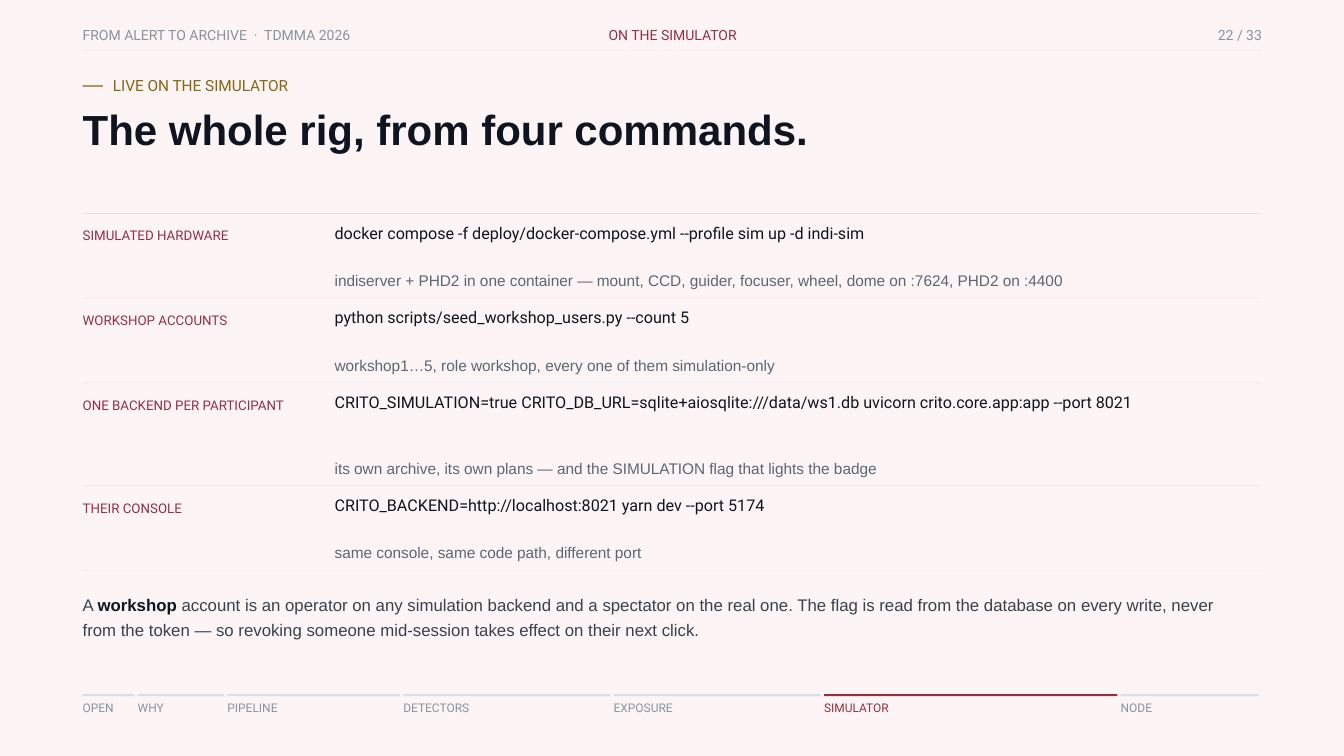
from pptx import Presentation
from pptx.dml.color import RGBColor
from pptx.enum import shapes, text
from pptx.util import Inches, Pt

LEFT, WIDTH = 1.23, 17.55
RIGHT = LEFT + WIDTH
COMMAND_LEFT = 4.98
INK, BODY, NOTE, MUTED = "0E1520", "37414F", "5B6675", "8792A2"
RED, GOLD, LINE, PALE_LINE = "94303F", "8A650F", "D6DEE9", "E6EBF3"
SANS, LABEL = "Arial", "Roboto"


def colour(hex_code):
    return RGBColor.from_string(hex_code)


class Deck:
    def __init__(self, slide, background):
        self.slide = slide
        slide.background.fill.solid()
        slide.background.fill.fore_color.rgb = colour(background)

    def rule(self, left, top, width, fill, thickness=0.01):
        bar = self.slide.shapes.add_shape(
            shapes.MSO_SHAPE.RECTANGLE,
            Inches(left), Inches(top), Inches(width), Inches(thickness))
        bar.shadow.inherit = False
        bar.fill.solid()
        bar.fill.fore_color.rgb = colour(fill)
        bar.line.fill.background()

    def add_text(self, left, top, width, height, runs, size, spacing,
                 font=SANS, align=text.PP_ALIGN.LEFT):
        """Add one paragraph; runs are (words, colour, bold) and spacing is in points."""
        box = self.slide.shapes.add_textbox(
            Inches(left), Inches(top), Inches(width), Inches(height))
        frame = box.text_frame
        frame.word_wrap = True
        frame.auto_size = text.MSO_AUTO_SIZE.SHAPE_TO_FIT_TEXT
        frame.margin_left = frame.margin_right = 0
        frame.margin_top = frame.margin_bottom = 0
        paragraph = frame.paragraphs[0]
        paragraph.alignment = align
        paragraph.line_spacing = Pt(spacing)
        for words, ink, bold in runs:
            run = paragraph.add_run()
            run.text = words
            run.font.name = font
            run.font.size = Pt(size)
            run.font.bold = bold
            run.font.color.rgb = colour(ink)

    def header(self, left, width, words, ink, align):
        self.add_text(left, 0.32, width, 0.43, [(words, ink, False)],
                      15, 23.1, LABEL, align)

    def step(self, top, bottom, label, command, note):
        """Fill one row between two rules and close it with the lower rule."""
        self.add_text(LEFT, top + 0.15, 3.45, 0.51, [(label, RED, False)],
                      14.3, 21.9, LABEL)
        self.add_text(COMMAND_LEFT, top + 0.08, RIGHT - COMMAND_LEFT, 0.67,
                      [(command, INK, False)], 17.3, 25.9, LABEL)
        self.add_text(COMMAND_LEFT, bottom - 0.47, RIGHT - COMMAND_LEFT, 0.53,
                      [(note, NOTE, False)], 16.5, 25.4)
        self.rule(LEFT, bottom, WIDTH, PALE_LINE)

    def progress(self, sections, current):
        """Draw the section bars, each as wide as its number of units."""
        gap = 0.05
        unit = 17.2 / sum(units for _, units in sections)
        left = LEFT
        for name, units in sections:
            active = name == current
            width = units * unit
            self.rule(left, 10.33, width, RED if active else LINE, 0.03)
            self.add_text(left, 10.36, width, 0.36,
                          [(name, RED if active else MUTED, False)],
                          12.8, 19.6, LABEL)
            left += width + gap


STEPS = [
    (4.43, "SIMULATED HARDWARE",
     "docker compose -f deploy/docker-compose.yml --profile sim up -d indi-sim",
     "indiserver + PHD2 in one container — mount, CCD, guider, focuser, wheel, "
     "dome on :7624, PHD2 on :4400"),
    (5.69, "WORKSHOP ACCOUNTS",
     "python scripts/seed_workshop_users.py --count 5",
     "workshop1…5, role workshop, every one of them simulation-only"),
    (7.22, "ONE BACKEND PER PARTICIPANT",
     "CRITO_SIMULATION=true CRITO_DB_URL=sqlite+aiosqlite:///data/ws1.db "
     "uvicorn crito.core.app:app --port 8021",
     "its own archive, its own plans — and the SIMULATION flag that lights the badge"),
    (8.48, "THEIR CONSOLE",
     "CRITO_BACKEND=http://localhost:8021 yarn dev --port 5174",
     "same console, same code path, different port"),
]
SECTIONS = [("OPEN", 3), ("WHY", 5), ("PIPELINE", 10), ("DETECTORS", 12),
            ("EXPOSURE", 12), ("SIMULATOR", 17), ("NODE", 8)]


def main():
    presentation = Presentation()
    presentation.slide_width = Inches(20)
    presentation.slide_height = Inches(11.25)
    blank = presentation.slide_layouts[6]
    deck = Deck(presentation.slides.add_slide(blank), "FDF4F5")

    deck.header(LEFT, 6.3, "FROM ALERT TO ARCHIVE  ·  TDMMA 2026", MUTED,
                text.PP_ALIGN.LEFT)
    deck.header(7.54, 4.94, "ON THE SIMULATOR", RED, text.PP_ALIGN.CENTER)
    deck.header(RIGHT - 3, 3, "22 / 33", MUTED, text.PP_ALIGN.RIGHT)
    deck.rule(LEFT, 0.75, WIDTH, PALE_LINE)
    deck.progress(SECTIONS, "SIMULATOR")

    deck.rule(LEFT, 1.27, 0.3, GOLD, 0.02)
    deck.add_text(1.68, 1.06, 9.01, 0.46,
                  [("LIVE ON THE SIMULATOR", GOLD, False)], 16.5, 25.4, LABEL)
    deck.add_text(LEFT, 1.53, 14.39, 1.69,
                  [("The whole rig, from four commands.", INK, True)], 45, 55.1)

    top = 3.17
    deck.rule(LEFT, top, WIDTH, LINE)
    for bottom, label, command, note in STEPS:
        deck.step(top, bottom, label, command, note)
        top = bottom

    deck.add_text(LEFT, 8.76, 17.26, 0.98, [
        ("A ", BODY, False),
        ("workshop", INK, True),
        (" account is an operator on any simulation backend and a spectator on "
         "the real one. The flag is read from the database on every write, never "
         "from the token — so revoking someone mid-session takes effect on their "
         "next click.", BODY, False),
    ], 18, 27.7)

    presentation.save("out.pptx")


if __name__ == "__main__":
    main()
